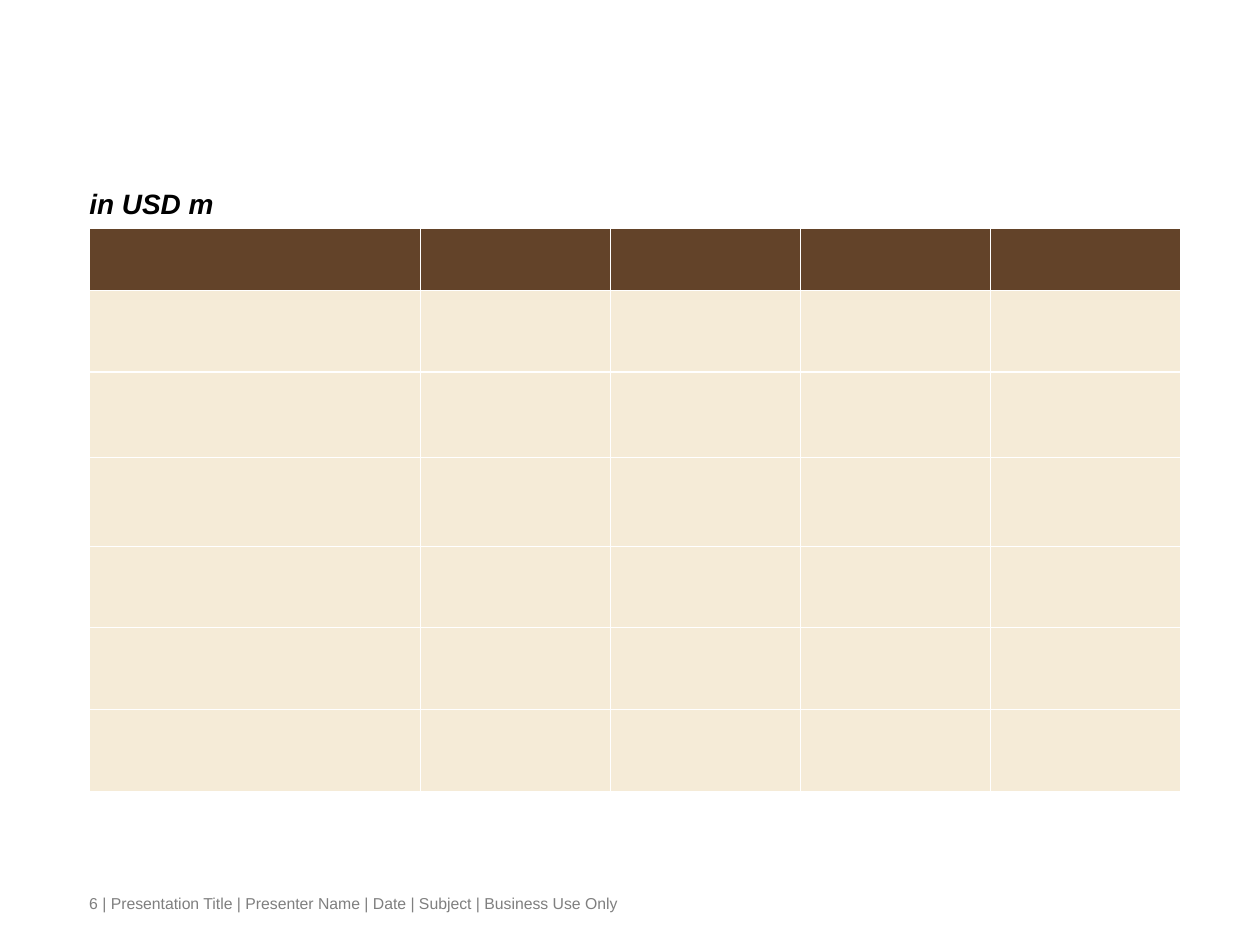
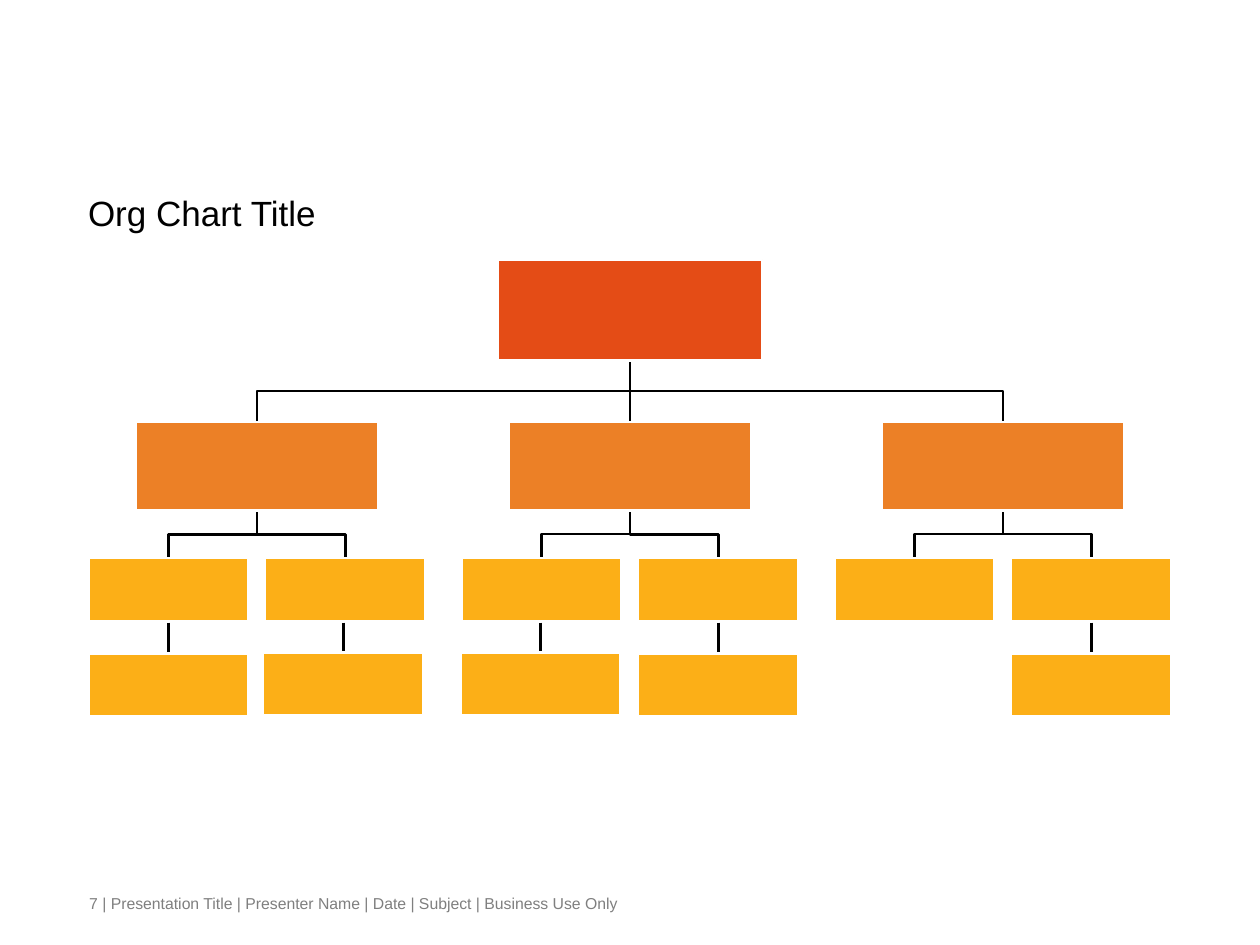
"""Build a two-slide deck: an empty financial table and an organisation chart."""
import pptx
import pptx.util
import pptx.dml.color
import pptx.enum.shapes
import pptx.enum.text
import pptx.oxml
import pptx.oxml.ns
from pptx.util import Cm

COLOURS = {
    "text": "000000", "footer": "7F7F7F", "white": "FFFFFF",
    "header": "634329", "body": "F5EBD7",
    "lead": "E44C16", "manager": "EC8026", "staff": "FCAF17",
}
FOOTER = "Presentation Title | Presenter Name | Date | Subject | Business Use Only"
TITLES = [
    ("in USD m", (1.55, 3.63, 3.4, 0.94), 16, True),
    ("Org Chart Title", (1.52, 3.73, 22.43, 1.12), 20, False),
]


def write(shape, text, size, colour, strong=False):
    frame = shape.text_frame
    frame.word_wrap = True
    frame.auto_size = pptx.enum.text.MSO_AUTO_SIZE.NONE
    frame.vertical_anchor = pptx.enum.text.MSO_ANCHOR.MIDDLE
    frame.text = text
    para = frame.paragraphs[0]
    para.alignment = pptx.enum.text.PP_ALIGN.LEFT
    para.font.name = "Arial"
    para.font.size = pptx.util.Pt(size)
    para.font.bold = para.font.italic = strong
    para.font.color.rgb = pptx.dml.color.RGBColor.from_string(COLOURS[colour])


def connect(page, x1, y1, x2, y2):
    kinds = pptx.enum.shapes.MSO_CONNECTOR
    if x1 == x2:
        line = page.shapes.add_connector(kinds.STRAIGHT, Cm(x1), Cm(y1), Cm(x2), Cm(y2))
    else:
        middle_x, middle_y = (x1 + x2) / 2, (y1 + y2) / 2
        half_drop, half_span = (y2 - y1) / 2, abs(x2 - x1) / 2
        if x2 > x1:
            half_drop = -half_drop
        line = page.shapes.add_connector(
            kinds.ELBOW,
            Cm(middle_x - half_drop), Cm(middle_y - half_span),
            Cm(middle_x + half_drop), Cm(middle_y + half_span))
        degrees = 270 if x2 > x1 else 90
        line._element.spPr.find(pptx.oxml.ns.qn("a:xfrm")).set("rot", str(degrees * 60000))
    line.line.width = pptx.util.Pt(1.5)
    line.line.color.rgb = pptx.dml.color.RGBColor.from_string(COLOURS["text"])
    line._element.spPr.append(
        pptx.oxml.parse_xml(f'<a:effectLst {pptx.oxml.ns.nsdecls("a")}/>'))


deck = pptx.Presentation()
deck.slide_width, deck.slide_height = Cm(25.4), Cm(19.05)
pages = []
for number, (title, place, size, strong) in enumerate(TITLES, start=6):
    page = deck.slides.add_slide(deck.slide_layouts[5])
    heading = page.shapes.title
    heading.left, heading.top, heading.width, heading.height = map(Cm, place)
    write(heading, title, size, "text", strong)
    footer = page.shapes.add_textbox(Cm(1.55), Cm(17.88), Cm(18.14), Cm(0.64))
    write(footer, f"{number} | {FOOTER}", 9, "footer")
    pages.append(page)
table_page, chart_page = pages

column_widths = [6.66] + [3.83] * 4
row_heights = [1.26, 1.64, 1.72, 1.8, 1.63, 1.65, 1.65]
table = table_page.shapes.add_table(
    len(row_heights), len(column_widths), Cm(1.81), Cm(4.6),
    Cm(sum(column_widths)), Cm(sum(row_heights))).table
for column, width in zip(table.columns, column_widths):
    column.width = Cm(width)
for index, (row, height) in enumerate(zip(table.rows, row_heights)):
    row.height = Cm(height)
    for cell in row.cells:
        properties = cell._tc.get_or_add_tcPr()
        for side in "LRTB":
            properties.append(pptx.oxml.parse_xml(
                f'<a:ln{side} {pptx.oxml.ns.nsdecls("a")} w="9525"><a:solidFill>'
                f'<a:srgbClr val="{COLOURS["white"]}"/></a:solidFill></a:ln{side}>'))
        cell.fill.solid()
        cell.fill.fore_color.rgb = pptx.dml.color.RGBColor.from_string(
            COLOURS["body" if index else "header"])

centre = 12.7
manager_centres = [centre + step * 7.52 for step in (-1, 0, 1)]
boxes = [("lead", centre, 5.24)]
for manager in manager_centres:
    connect(chart_page, centre, 7.29, manager, 8.48)
    boxes.append(("manager", manager, 8.51))
    for offset in (-1.78, 1.78):
        connect(chart_page, manager, 10.31, manager + offset, 11.23)
        boxes.append(("staff", manager + offset, 11.25))

left, middle, right = manager_centres
lower_staff = [
    (left - 1.78, 13.18), (left + 1.74, 13.16),
    (middle - 1.8, 13.16), (middle + 1.78, 13.18),
    (right + 1.78, 13.18),
]
for x, top in lower_staff:
    connect(chart_page, x, 12.55, x, 13.16)
    boxes.append(("staff", x, top))

box_sizes = {"lead": (5.33, 2.03), "manager": (4.88, 1.78), "staff": (3.23, 1.27)}
for role, x, top in boxes:
    width, height = box_sizes[role]
    box = chart_page.shapes.add_shape(
        pptx.enum.shapes.MSO_SHAPE.RECTANGLE,
        Cm(x - width / 2), Cm(top), Cm(width), Cm(height))
    box.shadow.inherit = False
    box.fill.solid()
    box.fill.fore_color.rgb = pptx.dml.color.RGBColor.from_string(COLOURS[role])
    box.line.width = pptx.util.Pt(1.5)
    box.line.color.rgb = pptx.dml.color.RGBColor.from_string(COLOURS["white"])

deck.save("out.pptx")
